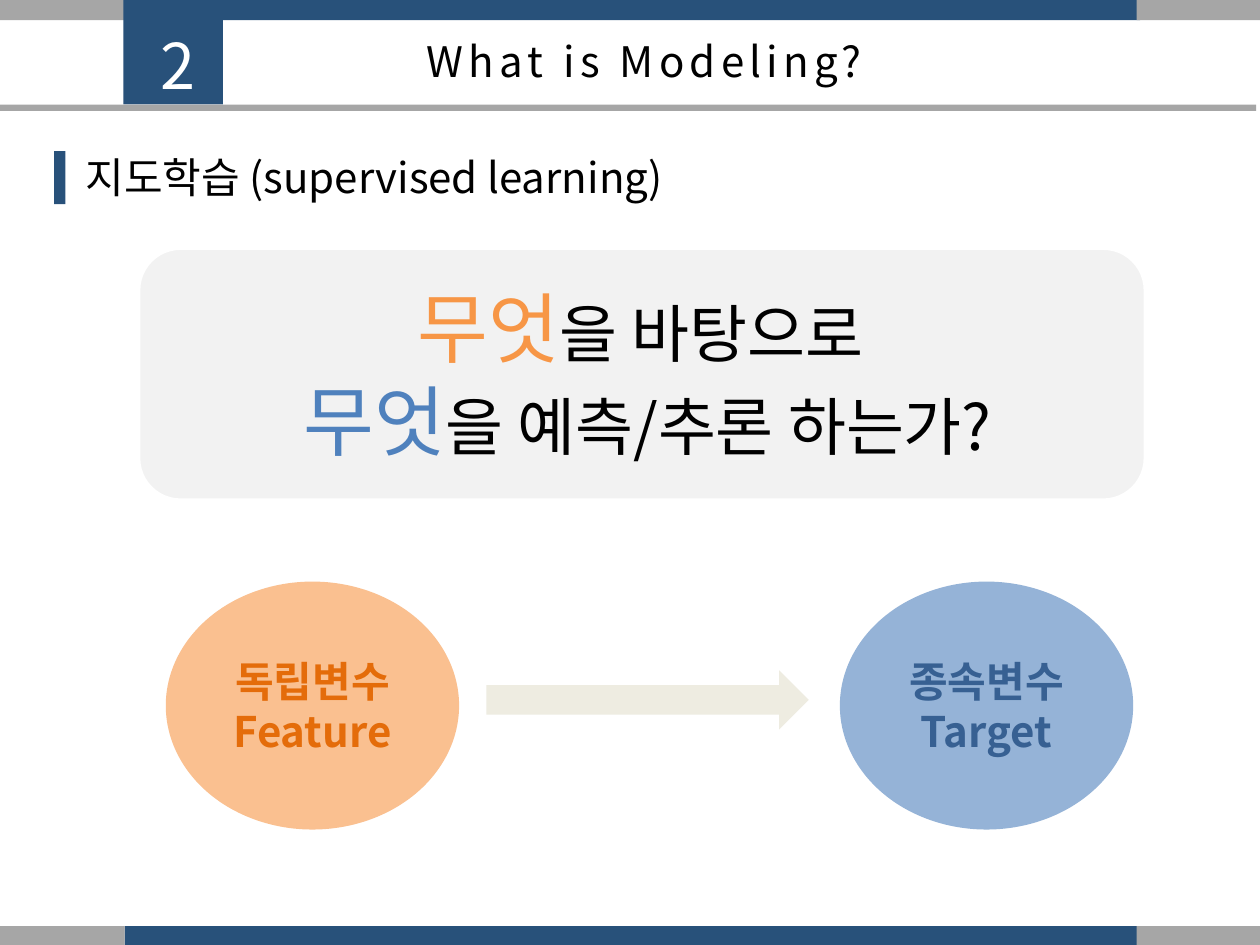
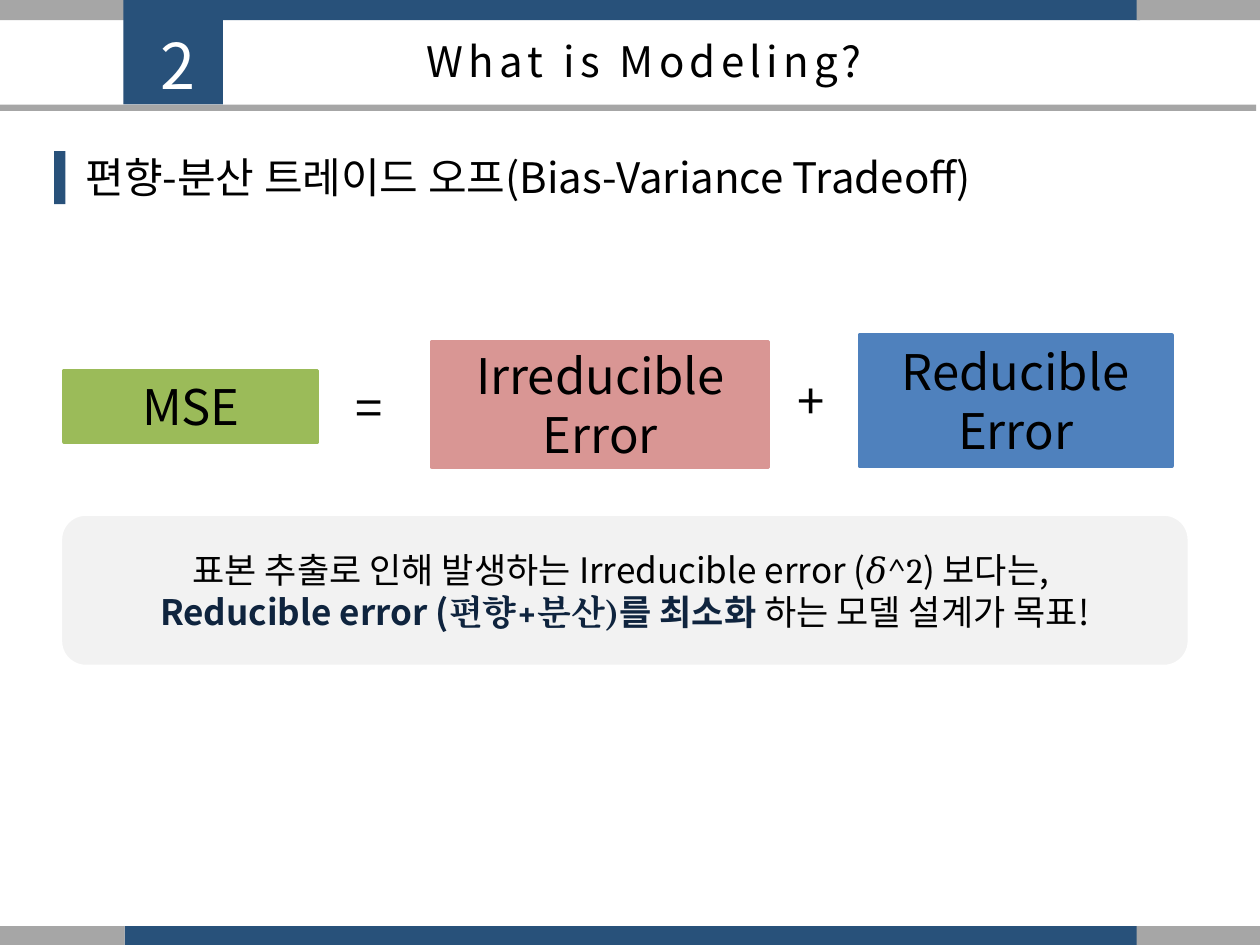
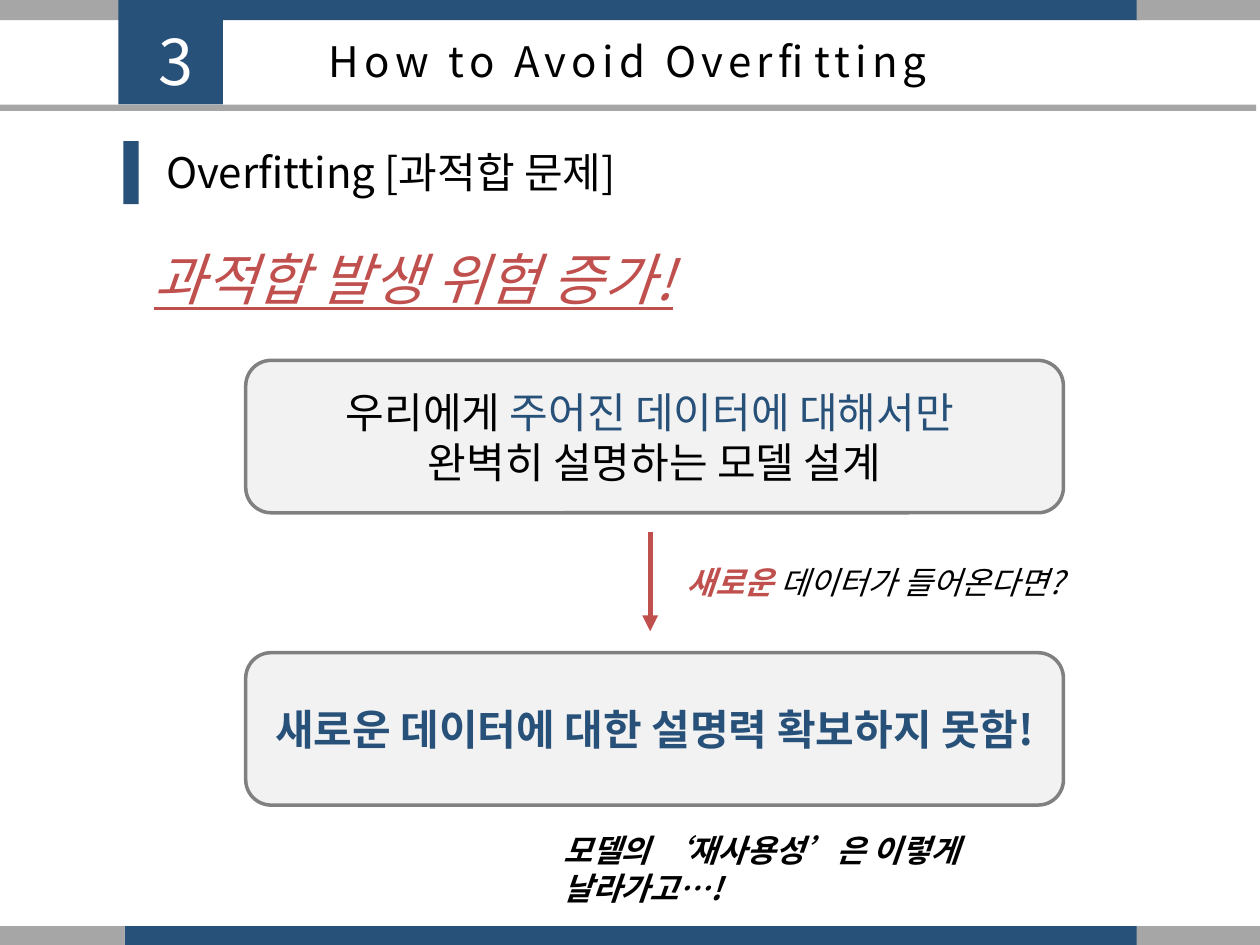
"""Build three slides on supervised learning, bias-variance and overfitting."""
from lxml import etree
from pptx import Presentation
from pptx import util as u
from pptx.dml.color import RGBColor
from pptx.enum import shapes, text
from pptx.oxml import ns

FONT = "Noto Sans CJK KR"
C = {
    "navy": "28517A", "gray": "A6A6A6", "panel": "F2F2F2", "edge": "808080",
    "white": "FFFFFF", "black": "000000", "ink": "0F243E", "red": "C0504D",
    "orange": "F79646", "blue": "4F81BD", "green": "9BBB59", "rose": "D99694",
    "peach": "FAC090", "rust": "E46C0A", "sky": "95B3D7", "steel": "376092",
    "sand": "EEECE1",
}
SHAPE = shapes.MSO_SHAPE
CENTER = text.PP_ALIGN.CENTER


def rgb(name):
    """Return the palette colour called name."""
    return RGBColor.from_string(C[name])


def style(font, size=None, color=None, bold=None, italic=None,
          underline=None, name=None, spacing=None):
    """Set the given properties on a paragraph or run font."""
    if size:
        font.size = u.Pt(size)
    if color:
        font.color.rgb = rgb(color)
    if bold is not None:
        font.bold = bold
    if italic:
        font.italic = True
    if underline:
        font.underline = True
    if name:
        font.name = name
        ea = etree.SubElement(font._rPr, ns.qn("a:ea"))
        ea.set("typeface", name)
    if spacing:
        font._rPr.set("spc", str(spacing * 100))


def write(tf, lines, align=None, size=24, color="black", **base):
    """Fill tf with lines, each a string or a list of (text, overrides) runs."""
    for i, line in enumerate(lines):
        p = tf.paragraphs[0] if i == 0 else tf.add_paragraph()
        p.alignment = align
        style(p.font, size=size, color=color, name=FONT, **base)
        for words, changes in [(line, {})] if isinstance(line, str) else line:
            r = p.add_run()
            r.text = words
            style(r.font, **changes)


def add_text(s, box, lines, wrap=True, **fmt):
    """Add a text box that grows with its text."""
    tf = s.shapes.add_textbox(*map(u.Inches, box)).text_frame
    tf.word_wrap = wrap
    tf.auto_size = text.MSO_AUTO_SIZE.SHAPE_TO_FIT_TEXT
    write(tf, lines, **fmt)


def add_block(s, kind, box, fill, line=None, lines=(), **fmt):
    """Add a filled shape with optional outline and centred text."""
    sp = s.shapes.add_shape(kind, *map(u.Inches, box))
    sp.shadow.inherit = False
    sp.fill.solid()
    sp.fill.fore_color.rgb = rgb(fill)
    if line:
        sp.line.color.rgb = rgb(line)
        sp.line.width = u.Pt(2)
    else:
        sp.line.fill.background()
    tf = sp.text_frame
    tf.word_wrap = True
    tf.vertical_anchor = text.MSO_ANCHOR.MIDDLE
    write(tf, lines, align=CENTER, **fmt)


def add_arrow(s, x, top, bottom):
    """Add a red arrow pointing down."""
    cx = s.shapes.add_connector(shapes.MSO_CONNECTOR.STRAIGHT,
                                *map(u.Inches, (x, top, x, bottom)))
    cx.line.color.rgb = rgb("red")
    cx.line.width = u.Pt(3)
    etree.SubElement(cx.line._get_or_add_ln(), ns.qn("a:tailEnd")).set("type", "triangle")
    etree.SubElement(cx._element.spPr, ns.qn("a:effectLst"))


def add_band(s, y):
    """Add a three-part band across the slide at height y."""
    for x, w, fill in ((0.99, 8.06, "navy"), (0, 0.99, "gray"), (9.02, 0.98, "gray")):
        add_block(s, SHAPE.RECTANGLE, (x, y, w, 0.16), fill)


def add_frame(prs, number, title, title_box, badge_x, number_at):
    """Add a slide with bands, numbered badge, rule and title."""
    s = prs.slides.add_slide(prs.slide_layouts[6])
    add_band(s, 0)
    add_band(s, 7.35)
    add_block(s, SHAPE.RECTANGLE, (badge_x, 0, 1.77 - badge_x, 0.83), "navy")
    add_block(s, SHAPE.RECTANGLE, (0, 0.83, 9.97, 0.05), "gray")
    add_text(s, (*number_at, 0.87, 0.71), [number], align=CENTER,
             size=36, color="white", spacing=3)
    add_text(s, title_box, [title], align=CENTER, spacing=3)
    return s


def add_modeling_frame(prs, heading):
    """Add a slide of section 2 with its heading."""
    s = add_frame(prs, "2", "What is Modeling?", (3.03, 0.23, 4.17, 0.5), 0.98, (0.98, 0.16))
    add_heading(s, (0.43, 1.2, 0.09, 0.42), (0.58, 1.15, 8.39, 0.5), heading)
    return s


def add_heading(s, bar, box, words):
    """Add a heading with a navy bar before it."""
    add_block(s, SHAPE.RECTANGLE, bar, "navy")
    add_text(s, box, [words])


def add_question(s, box):
    """Add the question panel."""
    x, y, w, h = box
    add_block(s, SHAPE.ROUNDED_RECTANGLE, box, "panel", "white")
    add_text(s, (x + 0.2, y + 0.21, w - 0.31, h - 0.42), [
        [("무엇", {"size": 44, "color": "orange"}), ("을 바탕으로 ", {})],
        [("무엇", {"size": 44, "color": "blue"}), ("을 예측/추론 하는가?", {})],
    ], align=CENTER, size=36)


def add_variables(s, box):
    """Add the feature and target ellipses with the arrow between them."""
    x, y, w, h = box
    oval_w = 2.3
    for left, fill, ink, lines in (
            (x, "peach", "rust", ["독립변수", "Feature"]),
            (x + w - oval_w, "sky", "steel", ["종속변수", "Target"])):
        add_block(s, SHAPE.OVAL, (left, y, oval_w, h), fill, fill, lines,
                  color=ink, bold=True)
    add_block(s, SHAPE.RIGHT_ARROW, (x + 2.53, y + 0.69, 2.56, 0.47), "sand")


def add_equation(s, x, y):
    """Add the error equation with its top left corner at x, y."""
    for dx, dy, w, h, fill, lines in (
            (0, 0.28, 2.01, 0.57, "green", ["MSE"]),
            (2.92, 0.05, 2.67, 1, "rose", ["Irreducible", "Error"]),
            (6.31, 0, 2.48, 1.04, "blue", ["Reducible", "Error"])):
        add_block(s, SHAPE.RECTANGLE, (x + dx, y + dy, w, h), fill, fill, lines, size=28)
    add_text(s, (x + 2.21, y + 0.29, 0.55, 0.57), ["="], size=28)
    add_text(s, (x + 5.72, y + 0.23, 0.44, 0.57), ["+"], wrap=False, size=28)


def add_goal(s, box):
    """Add the panel that states the design goal."""
    key = {"color": "ink", "bold": True}
    add_block(s, SHAPE.ROUNDED_RECTANGLE, box, "panel", "white", [
        [("표본 추출로 인해 발생하는 Irreducible error (", {}),
         ("𝛿^2", {"name": "Cambria"}), (") 보다는, ", {})],
        [("Reducible error (", key), ("편향+분산)", {**key, "name": "Cambria"}),
         ("를 최소화 ", key), ("하는 모델 설계가 목표!", {})],
    ], size=20)


def add_overfitting(s, box):
    """Add the two linked panels and their remarks."""
    x, y, w, h = box
    panel_h = 1.21
    low = y + h - panel_h
    add_block(s, SHAPE.ROUNDED_RECTANGLE, (x, y, w, panel_h), "panel", "edge", [
        [("우리에게 ", {}), ("주어진 데이터에 대해서만 ", {"color": "navy"})],
        "완벽히 설명하는 모델 설계",
    ])
    add_arrow(s, x + 3.21, y + panel_h + 0.15, low - 0.17)
    add_text(s, (x + 3.4, y + 1.56, 3.07, 0.4), [
        [("새로운 ", {"color": "red", "bold": True}), ("데이터가 들어온다면?", {})],
    ], size=18, italic=True)
    add_block(s, SHAPE.ROUNDED_RECTANGLE, (x, low, w, panel_h), "panel", "edge",
              ["새로운 데이터에 대한 설명력 확보하지 못함!"], color="navy", bold=True)
    add_text(s, (x + 2.42, y + h + 0.16, 4.18, 0.4),
             ["모델의 ‘재사용성’은 이렇게 날라가고…!"], size=18, bold=True, italic=True)


def main():
    """Build and save the presentation."""
    prs = Presentation()
    prs.slide_width, prs.slide_height = u.Inches(10), u.Inches(7.5)

    s = add_modeling_frame(prs, "지도학습 (supervised learning)")
    add_question(s, (1.1, 1.97, 7.99, 2))
    add_variables(s, (1.33, 4.63, 7.65, 1.94))

    s = add_modeling_frame(prs, "편향-분산 트레이드 오프(Bias-Variance Tradeoff)")
    add_equation(s, 0.51, 2.66)
    add_goal(s, (0.48, 4.08, 8.96, 1.21))

    s = add_frame(prs, "3", "How to Avoid Overfitting", (2.31, 0.23, 5.35, 0.5),
                  0.94, (0.96, 0.13))
    add_heading(s, (0.98, 1.12, 0.12, 0.5), (1.22, 1.11, 5.87, 0.5),
                "Overfitting [과적합 문제]")
    add_text(s, (1.12, 1.89, 6.69, 0.64), ["과적합 발생 위험 증가!"],
             size=32, color="red", italic=True, underline=True)
    add_overfitting(s, (1.95, 2.86, 6.49, 3.53))

    prs.save("out.pptx")


if __name__ == "__main__":
    main()
